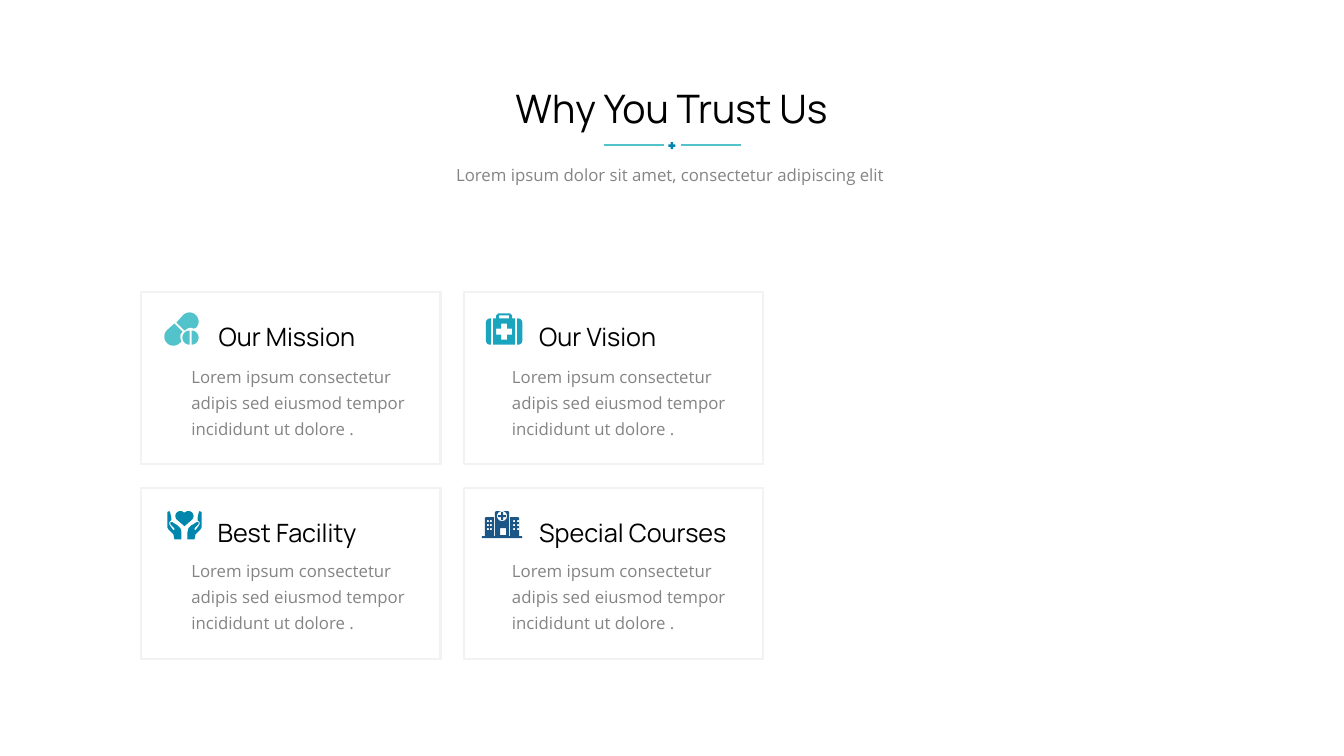
import math

import pptx
import pptx.dml.color
import pptx.enum.shapes
import pptx.enum.text
import pptx.util
from lxml import etree
from pptx.dml.color import RGBColor
from pptx.util import Inches

BLACK = RGBColor(0x00, 0x00, 0x00)
GREY = RGBColor(0x84, 0x84, 0x84)
PALE = RGBColor(0xF2, 0xF2, 0xF2)
AQUA = RGBColor(0x52, 0xC3, 0xCB)
TEAL = RGBColor(0x1A, 0xA4, 0xBE)
BLUE = RGBColor(0x01, 0x87, 0xAD)
NAVY = RGBColor(0x1C, 0x56, 0x86)

HEADING_FONT = "Manrope"
BODY_FONT = "Open Sans"
CARD_TEXT = "Lorem ipsum consectetur adipis sed eiusmod tempor incididunt ut dolore ."
COLUMNS = (1.4, 4.6)
ROWS = (2.9, 4.84)
CARD_WIDTH, CARD_HEIGHT = 2.97, 1.7


# Text
def format_text(shape, text, size, font, color, centered=False, spacing=None):
    frame = shape.text_frame
    frame.text = text
    frame.word_wrap = True
    frame.auto_size = pptx.enum.text.MSO_AUTO_SIZE.SHAPE_TO_FIT_TEXT
    frame.vertical_anchor = pptx.enum.text.MSO_ANCHOR.TOP
    paragraph = frame.paragraphs[0]
    if centered:
        paragraph.alignment = pptx.enum.text.PP_ALIGN.CENTER
    if spacing:
        paragraph.line_spacing = spacing
    paragraph.font.size = pptx.util.Pt(size)
    paragraph.font.name = font
    paragraph.font.color.rgb = color


def add_text(slide, left, top, width, height, *style, **options):
    box = slide.shapes.add_textbox(Inches(left), Inches(top), Inches(width), Inches(height))
    format_text(box, *style, **options)


# Shapes and lines
def fill_plain(shape, color):
    shape.shadow.inherit = False
    shape.fill.solid()
    shape.fill.fore_color.rgb = color
    shape.line.fill.background()


def add_rule(slide, left, right, y):
    rule = slide.shapes.add_connector(
        pptx.enum.shapes.MSO_CONNECTOR.STRAIGHT,
        Inches(left), Inches(y), Inches(right), Inches(y))
    rule.line.color.rgb = AQUA
    rule.line.width = pptx.util.Pt(1.5)
    properties = rule.line._get_or_add_ln().getparent()
    etree.SubElement(properties, pptx.oxml.ns.qn("a:effectLst"))


# Outlines: lists of points in inches; inner contours become holes
def box(left, top, right, bottom):
    return [(left, top), (right, top), (right, bottom), (left, bottom)]


def plus(x, y, arm, half):
    corner = [(half, -arm), (half, -half), (arm, -half)]
    points = []
    for _ in range(4):
        points += [(x + dx, y + dy) for dx, dy in corner]
        corner = [(-dy, dx) for dx, dy in corner]
    return points


def arc(x, y, radius, start, end):
    steps = max(6, abs(end - start) // 10)
    angles = [math.radians(start + (end - start) * i / steps) for i in range(steps + 1)]
    return [(x + radius * math.cos(a), y + radius * math.sin(a)) for a in angles]


def mirror(points, axis):
    return [(2 * axis - x, y) for x, y in points]


def add_outline(slide, color, *contours):
    builder = None
    for contour in contours:
        points = [(Inches(x), Inches(y)) for x, y in contour]
        if builder is None:
            builder = slide.shapes.build_freeform(*points[0])
        else:
            builder.move_to(*points[0])
        builder.add_line_segments(points[1:], close=True)
    fill_plain(builder.convert_to_shape(), color)


# Icons
def add_pills(slide):
    add_outline(slide, AQUA, arc(1.88, 3.19, 0.09, 225, 405)
                + [(1.92, 3.26), (1.89, 3.25), (1.86, 3.26), (1.83, 3.28), (1.75, 3.2)])
    add_outline(slide, AQUA, arc(1.72, 3.34, 0.09, 45, 225)
                + [(1.73, 3.21), (1.81, 3.29), (1.79, 3.32), (1.79, 3.36), (1.8, 3.39)])
    add_outline(slide, AQUA, arc(1.88, 3.35, 0.07, 90, 270))
    add_outline(slide, AQUA, arc(1.9, 3.35, 0.07, -90, 90))


def add_first_aid_kit(slide):
    middle = 5.0
    side = ([(4.87, 3.16), (4.87, 3.42)]
            + arc(4.86, 3.38, 0.04, 90, 180) + arc(4.86, 3.2, 0.04, 180, 270))
    half = [(4.94, 3.11), (4.92, 3.13), (4.92, 3.16), (4.89, 3.16), (4.89, 3.42)]
    add_outline(slide, TEAL, side)
    add_outline(slide, TEAL, half + mirror(half, middle)[::-1],
                box(4.95, 3.13, 5.05, 3.16), plus(middle, 3.29, 0.08, 0.03))
    add_outline(slide, TEAL, mirror(side, middle))


def add_caring_hands(slide):
    middle = 1.83
    hand = [(1.8, 5.35), (1.8, 5.28), (1.79, 5.24), (1.76, 5.21), (1.74, 5.2),
            (1.71, 5.18), (1.69, 5.18), (1.69, 5.2), (1.73, 5.24), (1.73, 5.26),
            (1.72, 5.26), (1.69, 5.22), (1.68, 5.2), (1.68, 5.18), (1.7, 5.16),
            (1.7, 5.14), (1.69, 5.09), (1.68, 5.07), (1.66, 5.08), (1.66, 5.23),
            (1.67, 5.25), (1.72, 5.3), (1.73, 5.35)]
    lobe = arc(1.79, 5.12, 0.05, 135, 315)
    add_outline(slide, BLUE, lobe + mirror(lobe, middle)[::-1] + [(middle, 5.22)])
    add_outline(slide, BLUE, hand)
    add_outline(slide, BLUE, mirror(hand, middle))


def add_hospital(slide):
    middle = 4.98
    half = [(4.92, 5.07), (4.91, 5.08), (4.91, 5.32), (4.9, 5.32), (4.9, 5.13),
            (4.82, 5.13), (4.81, 5.14), (4.81, 5.32), (4.78, 5.32), (4.78, 5.34)]
    windows = [box(left, top, left + 0.02, top + 0.02)
               for left in (4.83, 4.86, 5.09, 5.13) for top in (5.16, 5.2, 5.24)]
    add_outline(slide, NAVY, half + mirror(half, middle)[::-1], *windows,
                box(4.96, 5.24, 5.02, 5.31), arc(middle, 5.12, 0.05, 0, 360),
                plus(middle, 5.12, 0.04, 0.01))


def add_card(slide, column, row, heading, heading_left, add_icon):
    left, top = COLUMNS[column], ROWS[row]
    frame = slide.shapes.add_shape(
        pptx.enum.shapes.MSO_SHAPE.RECTANGLE,
        Inches(left), Inches(top), Inches(CARD_WIDTH), Inches(CARD_HEIGHT))
    frame.shadow.inherit = False
    frame.fill.background()
    frame.line.color.rgb = PALE
    frame.line.width = pptx.util.Pt(1.5)
    add_text(slide, heading_left, top + 0.24, 2.17, 0.4, heading, 18, HEADING_FONT, BLACK)
    add_icon(slide)
    add_text(slide, (1.8, 4.98)[column], (3.53, 5.45)[row], 2.54, 0.87,
             CARD_TEXT, 12, BODY_FONT, GREY, spacing=1.3)


def add_header(slide):
    title = slide.shapes.title
    title.left, title.top = Inches(4.27), Inches(0.79)
    title.width, title.height = Inches(4.78), Inches(0.57)
    format_text(title, "Why You Trust Us", 28, HEADING_FONT, BLACK, centered=True)
    for left in (5.99, 6.75):
        add_rule(slide, left, left + 0.6, 1.44)
    cross = slide.shapes.add_shape(
        pptx.enum.shapes.MSO_SHAPE.CROSS,
        Inches(6.63), Inches(1.41), Inches(0.07), Inches(0.07))
    cross.adjustments[0] = 0.33
    fill_plain(cross, BLUE)
    add_text(slide, 3.23, 1.53, 6.88, 0.34,
             "Lorem ipsum dolor sit amet, consectetur adipiscing elit ",
             12, BODY_FONT, GREY, centered=True, spacing=1.3)


def main():
    presentation = pptx.Presentation()
    presentation.slide_width = Inches(13.33)
    presentation.slide_height = Inches(7.5)
    slide = presentation.slides.add_slide(presentation.slide_layouts[5])

    add_header(slide)
    add_card(slide, 0, 0, "Our Mission", 2.07, add_pills)
    add_card(slide, 1, 0, "Our Vision", 5.25, add_first_aid_kit)
    add_card(slide, 0, 1, "Best Facility", 2.06, add_caring_hands)
    add_card(slide, 1, 1, "Special Courses", 5.25, add_hospital)
    presentation.save("out.pptx")


if __name__ == "__main__":
    main()
